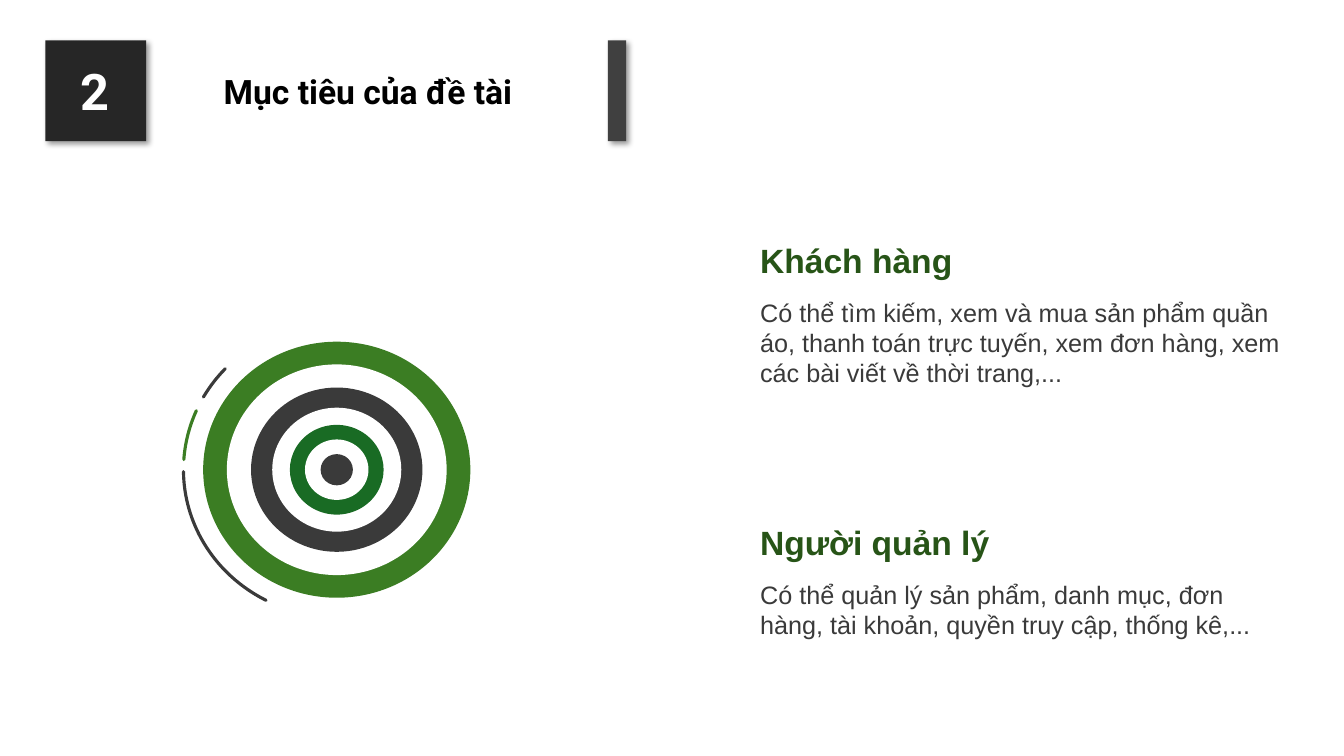
"""Builds the project goals slide with a target and two user groups."""
from lxml import etree
from pptx import Presentation
from pptx.dml.color import RGBColor
from pptx.enum.shapes import MSO_SHAPE
from pptx.enum.text import MSO_AUTO_SIZE, PP_ALIGN
from pptx.oxml.ns import qn
from pptx.util import Inches, Pt

ARC, OVAL, RECTANGLE = MSO_SHAPE.ARC, MSO_SHAPE.OVAL, MSO_SHAPE.RECTANGLE
FIT_SHAPE = MSO_AUTO_SIZE.SHAPE_TO_FIT_TEXT
JUSTIFY = PP_ALIGN.JUSTIFY

COLORS = {
    "black": "000000", "white": "FFFFFF", "badge": "262626", "bar": "404040",
    "gray": "3A3A3A", "green": "3B7D23", "deep_green": "196B24", "heading": "275417",
}
NUMBER = "2"
TITLE = "Mục tiêu của đề tài"
GOALS = [
    ("Khách hàng",
     "Có thể tìm kiếm, xem và mua sản phẩm quần áo, thanh toán trực tuyến, "
     "xem đơn hàng, xem các bài viết về thời trang,...", 1.01),
    ("Người quản lý",
     "Có thể quản lý sản phẩm, danh mục, đơn hàng, tài khoản, quyền truy cập, "
     "thống kê,...", 0.71),
]
RINGS = [
    (2.65, 2.54, "green"), (2.18, 2.09, "white"), (1.7, 1.63, "gray"),
    (1.28, 1.23, "white"), (0.93, 0.89, "deep_green"), (0.63, 0.6, "white"),
    (0.32, 0.31, "gray"),
]
ARCS = [(183.8, 202.8, "green"), (118.4, 179.3, "gray"), (208.6, 222.2, "gray")]
ARC_SIZE = (3.04, 2.92)
TARGET_CENTER = (3.34, 4.66)
GOAL_LEFT, GOAL_TOP, GOAL_STEP, BODY_OFFSET = 7.44, 2.13, 2.8, 0.77


def color(name):
    return RGBColor.from_string(COLORS[name])


def add_filled(slide, kind, box, fill):
    shape = slide.shapes.add_shape(kind, *map(Inches, box))
    shape.shadow.inherit = False
    shape.fill.solid()
    shape.fill.fore_color.rgb = color(fill)
    shape.line.fill.background()
    return shape


def add_shadowed_block(slide, box, fill):
    shape = add_filled(slide, RECTANGLE, box, fill)
    effects = shape._element.spPr.find(qn("a:effectLst"))
    shadow = etree.SubElement(
        effects, qn("a:outerShdw"), blurRad=str(Pt(4)), dist=str(Pt(3)),
        dir="2700000", algn="tl", rotWithShape="0")
    shadow_color = etree.SubElement(shadow, qn("a:srgbClr"), val=COLORS["black"])
    etree.SubElement(shadow_color, qn("a:alpha"), val="40000")


def add_arc(slide, box, start, end, line):
    shape = slide.shapes.add_shape(ARC, *map(Inches, box))
    shape.shadow.inherit = False
    shape.fill.background()
    shape.line.color.rgb = color(line)
    shape.line.width = Pt(2.25)
    shape._element.spPr.find(qn("a:ln")).set("cap", "rnd")
    for index, degrees in enumerate((start, end)):
        shape.adjustments[index] = degrees * 0.6


def add_text(slide, box, text, size, fill, font="Arial", bold=False, wrap=True):
    frame = slide.shapes.add_textbox(*map(Inches, box)).text_frame
    frame.text = text
    frame.word_wrap = wrap
    frame.auto_size = FIT_SHAPE
    paragraph = frame.paragraphs[0]
    run_font = paragraph.runs[0].font
    run_font.name, run_font.size, run_font.bold = font, Pt(size), bold
    run_font.color.rgb = color(fill)
    return paragraph


def centered_box(width, height):
    center_x, center_y = TARGET_CENTER
    return center_x - width / 2, center_y - height / 2, width, height


def main():
    presentation = Presentation()
    presentation.slide_width, presentation.slide_height = Inches(13.33), Inches(7.5)
    slide = presentation.slides.add_slide(presentation.slide_layouts[6])

    for start, end, line in ARCS:
        add_arc(slide, centered_box(*ARC_SIZE), start, end, line)
    for width, height, fill in RINGS:
        add_filled(slide, OVAL, centered_box(width, height), fill)

    add_shadowed_block(slide, (6.03, 0.4, 0.18, 1), "bar")
    add_text(slide, (2.12, 0.65, 3.21, 0.5), TITLE, 24, "black", "Roboto", True, False)
    add_shadowed_block(slide, (0.45, 0.4, 1, 1), "badge")
    add_text(slide, (0.7, 0.55, 0.48, 0.71), NUMBER, 36, "white", "Roboto", True, False)

    for index, (heading, body, body_height) in enumerate(GOALS):
        top = GOAL_TOP + index * GOAL_STEP
        paragraph = add_text(
            slide, (GOAL_LEFT, top, 2.56, 0.64), heading, 24, "heading", bold=True)
        paragraph.alignment = JUSTIFY
        paragraph.line_spacing = 1.5
        paragraph.space_after = Pt(3)
        add_text(slide, (GOAL_LEFT, top + BODY_OFFSET, 5.39, body_height), body, 18, "gray")

    presentation.save("out.pptx")


if __name__ == "__main__":
    main()
